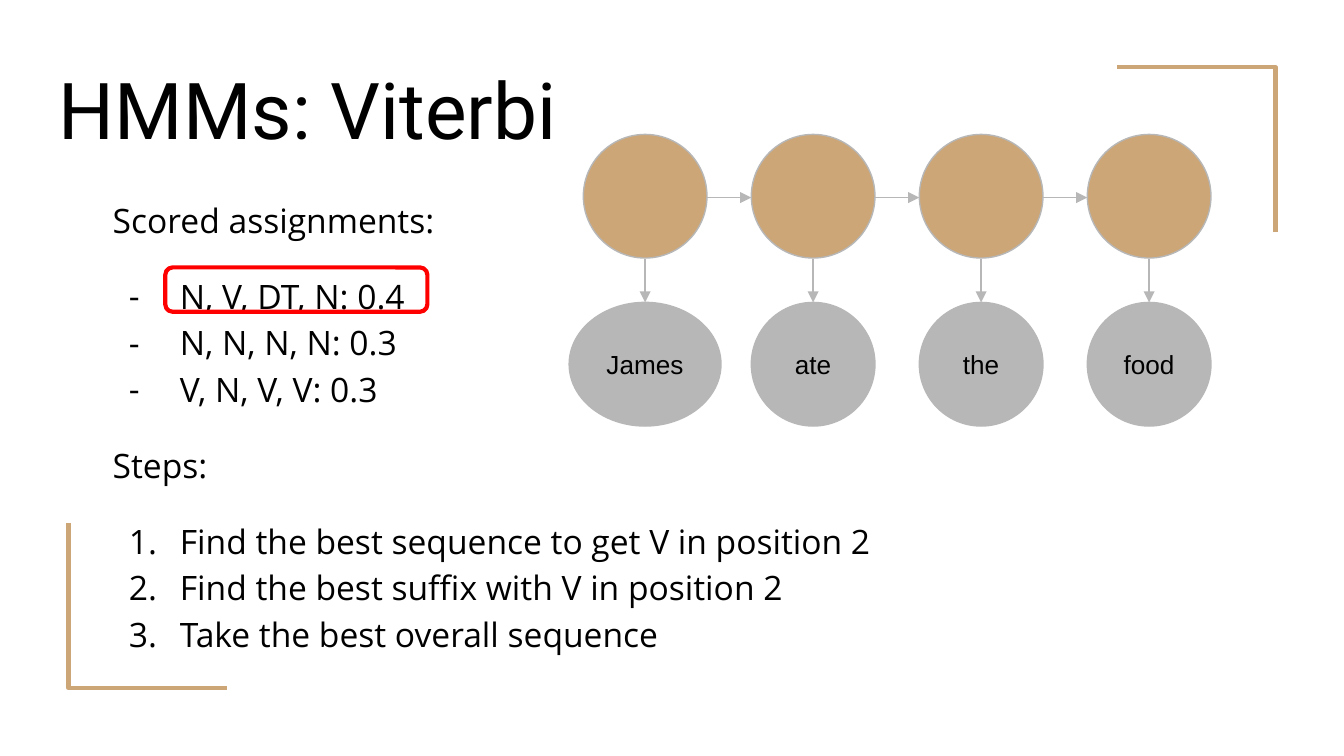
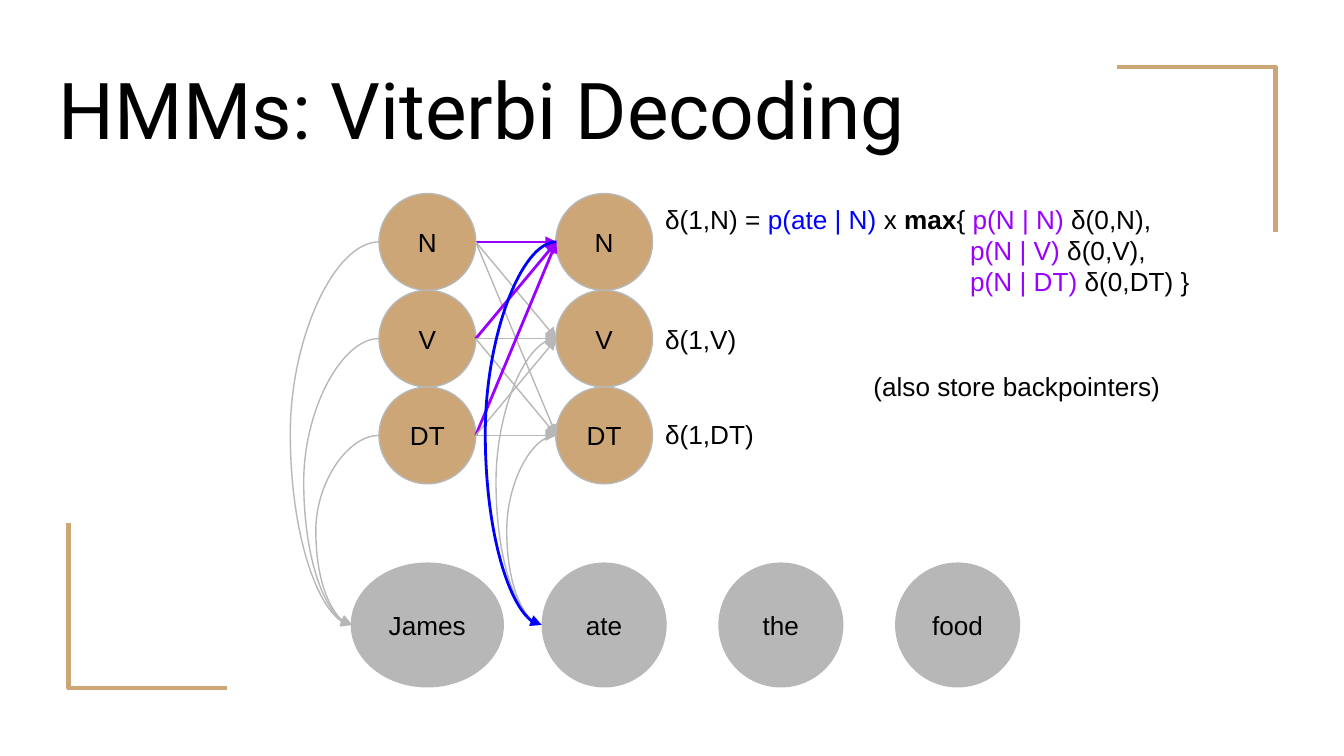
from itertools import product

from lxml.etree import SubElement
from pptx import Presentation
from pptx.dml.color import RGBColor
from pptx.enum.shapes import MSO_CONNECTOR, MSO_SHAPE
from pptx.enum.text import MSO_ANCHOR, PP_ALIGN
from pptx.oxml.ns import qn
from pptx.util import Inches, Pt

COLORS = {
    "tan": "CCA677",
    "gray": "B7B7B7",
    "black": "000000",
    "red": "FF0000",
    "blue": "0000FF",
    "purple": "9900FF",
}


def write_text(shape, text, size=14, font="Arial", align=PP_ALIGN.LEFT,
               anchor=MSO_ANCHOR.MIDDLE, line_spacing=None, before=0,
               indent=0, hanging=0, bullet=None):
    frame = shape.text_frame
    frame.word_wrap = True
    frame.vertical_anchor = anchor
    frame.margin_left = frame.margin_right = Inches(0.1)
    frame.margin_top = frame.margin_bottom = Inches(0.1)
    paragraph = frame.add_paragraph() if frame.text else frame.paragraphs[0]
    paragraph.alignment = align
    paragraph.space_before = Pt(before)
    if line_spacing:
        paragraph.line_spacing = line_spacing
    properties = paragraph._p.get_or_add_pPr()
    properties.set("marL", str(Inches(indent)))
    properties.set("indent", str(-Inches(hanging)))
    if bullet:
        bullet_color = SubElement(properties, qn("a:buClr"))
        SubElement(bullet_color, qn("a:srgbClr"), val=COLORS["black"])
        SubElement(properties, qn("a:buFont"), typeface=font)
        if bullet == "number":
            SubElement(properties, qn("a:buAutoNum"), type="arabicPeriod")
        else:
            SubElement(properties, qn("a:buChar"), char=bullet)
    runs = [(text, "black")] if isinstance(text, str) else text
    for words, color in runs:
        run = paragraph.add_run()
        run.text = words
        run.font.size = Pt(size)
        run.font.name = font
        run.font.bold = words == "max"
        run.font.color.rgb = RGBColor.from_string(COLORS[color])


def add_arrow(slide, start, end, color="gray", width=0.75, bend=None):
    kind = MSO_CONNECTOR.STRAIGHT if bend is None else MSO_CONNECTOR.CURVE
    connector = slide.shapes.add_connector(
        kind, *(Inches(value) for value in (*start, *end)))
    connector.line.color.rgb = RGBColor.from_string(COLORS[color])
    connector.line.width = Pt(width)
    properties = connector._element.spPr
    arrow_end = "a:tailEnd"
    if bend is not None:
        arrow_end = "a:headEnd"
        adjust = round((bend - start[0]) / (end[0] - start[0]) * 100000)
        guides = properties.find(qn("a:prstGeom")).get_or_add_avLst()
        SubElement(guides, qn("a:gd"), name="adj1", fmla=f"val {adjust}")
    SubElement(connector.line._get_or_add_ln(), qn(arrow_end), type="triangle")
    SubElement(properties, qn("a:effectLst"))


presentation = Presentation()
presentation.slide_width = Inches(10)
presentation.slide_height = Inches(5.625)

corners = [
    [(9.49, 1.73), (9.49, 0.5), (8.31, 0.5)],
    [(0.51, 3.89), (0.51, 5.12), (1.69, 5.12)],
]
slides = []
for title in ["HMMs: Viterbi", "HMMs: Viterbi Decoding"]:
    slide = presentation.slides.add_slide(presentation.slide_layouts[6])
    slides.append(slide)
    for corner in corners:
        points = [(Inches(x), Inches(y)) for x, y in corner]
        builder = slide.shapes.build_freeform(*points[0])
        builder.add_line_segments(points[1:], close=False)
        shape = builder.convert_to_shape()
        shape.shadow.inherit = False
        shape.fill.background()
        shape.line.color.rgb = RGBColor.from_string(COLORS["tan"])
        shape.line.width = Pt(2.25)
    title_box = slide.shapes.add_textbox(
        Inches(0.34), Inches(0.35), Inches(9.32), Inches(0.91))
    write_text(title_box, title, size=42, font="Roboto")
assignments, decoding = slides

body = assignments.shapes.add_textbox(
    Inches(0.74), Inches(1.34), Inches(8.61), Inches(3.67))
sections = [
    ("Scored assignments:", "-",
     ["N, V, DT, N: 0.4", "N, N, N, N: 0.3", "V, N, V, V: 0.3"]),
    ("Steps:", "number",
     ["Find the best sequence to get V in position 2",
      "Find the best suffix with V in position 2",
      "Take the best overall sequence"]),
]
body_format = {"size": 18, "font": "Open Sans", "line_spacing": 1.15,
               "anchor": MSO_ANCHOR.TOP}
for section, (heading, bullet, items) in enumerate(sections):
    write_text(body, heading, before=16 * section, **body_format)
    for position, item in enumerate(items):
        write_text(body, item, before=0 if position else 16, indent=0.5,
                   hanging=0.38, bullet=bullet, **body_format)

words = ["James", "ate", "the", "food"]
word_widths = [1.13, 0.92, 0.92, 0.92]
chain_centers = [4.8 + 1.25 * column for column in range(4)]
trellis_centers = [3.18 + 1.315 * column for column in range(4)]
states = ["N", "V", "DT"]
state_centers = [1.8 + 0.72 * row for row in range(3)]

nodes = []
for x in chain_centers:
    nodes.append((assignments, x, 1.46, 0.92, 0.92, "tan", ""))
for slide, centers, y in [(assignments, chain_centers, 2.71),
                          (decoding, trellis_centers, 4.65)]:
    for x, width, word in zip(centers, word_widths, words):
        nodes.append((slide, x, y, width, 0.92, "gray", word))
for x, (y, state) in product(trellis_centers[:2], zip(state_centers, states)):
    nodes.append((decoding, x, y, 0.72, 0.72, "tan", state))

for slide, x, y, width, height, color, label in nodes:
    node = slide.shapes.add_shape(
        MSO_SHAPE.OVAL, Inches(x - width / 2), Inches(y - height / 2),
        Inches(width), Inches(height))
    node.shadow.inherit = False
    node.fill.solid()
    node.fill.fore_color.rgb = RGBColor.from_string(COLORS[color])
    node.line.color.rgb = RGBColor.from_string(COLORS["gray"])
    node.line.width = Pt(0.75)
    if label:
        write_text(node, label, align=PP_ALIGN.CENTER)

for x in chain_centers:
    add_arrow(assignments, (x, 1.93), (x, 2.25))
for x, following in zip(chain_centers, chain_centers[1:]):
    add_arrow(assignments, (x + 0.46, 1.47), (following - 0.46, 1.47))

highlight = assignments.shapes.add_shape(
    MSO_SHAPE.ROUNDED_RECTANGLE,
    Inches(1.23), Inches(1.99), Inches(1.95), Inches(0.33))
highlight.shadow.inherit = False
highlight.fill.background()
highlight.line.color.rgb = RGBColor.from_string(COLORS["red"])
highlight.line.width = Pt(2.25)

for source, target in product(state_centers, repeat=2):
    best = target == state_centers[0]
    add_arrow(decoding, (3.54, source), (4.14, target),
              color="purple" if best else "gray", width=1.5 if best else 0.75)

emissions = [
    (2.62, 2.82, [2.16, 2.26, 2.35]),
    (4.03, 4.14, [3.61, 3.69, 3.77]),
]
for word_left, state_left, bends in emissions:
    for y, bend in reversed(list(zip(state_centers, bends))):
        scored = word_left > 4 and y == state_centers[0]
        add_arrow(decoding, (word_left, 4.65), (state_left, y), bend=bend,
                  color="blue" if scored else "gray",
                  width=1.5 if scored else 0.75)

formula = [
    ([("δ(1,N) = ", "black"), ("p(ate | N)", "blue"), (" x ", "black"),
      ("max", "black"), ("{ ", "black"), ("p(N | N) ", "purple"),
      ("δ(0,N),", "black")], 0),
    ([("p(N | V)", "purple"), (" δ(0,V),", "black")], 2.27),
    ([("p(N | DT)", "purple"), (" δ(0,DT) }", "black")], 2.27),
]
notes = [
    (4.85, 1.45, 4.35, 0.82, formula),
    (4.85, 2.16, 0.92, 0.72, [("δ(1,V)", 0)]),
    (4.85, 2.87, 0.92, 0.72, [("δ(1,DT)", 0)]),
    (6.4, 2.59, 2.81, 0.57, [("(also store backpointers)", 0)]),
]
for *box, lines in notes:
    note = decoding.shapes.add_textbox(*(Inches(value) for value in box))
    for text, indent in lines:
        write_text(note, text, indent=indent)

presentation.save("out.pptx")
